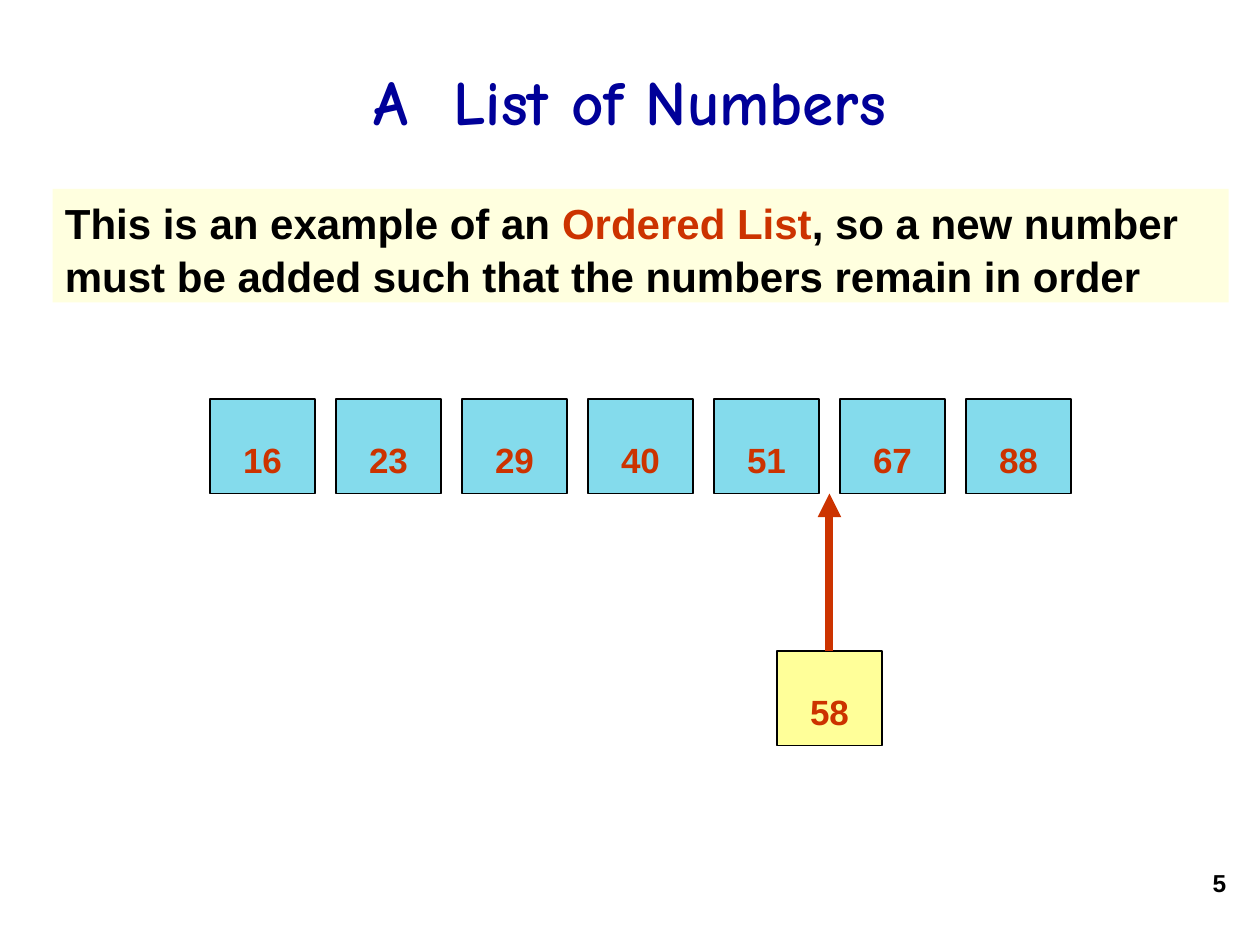
from lxml.etree import SubElement
from pptx import Presentation
from pptx.dml.color import RGBColor
from pptx.enum.shapes import MSO_CONNECTOR, MSO_SHAPE
from pptx.enum.text import MSO_ANCHOR, PP_ALIGN
from pptx.oxml.ns import qn
from pptx.util import Cm, Pt

COLOURS = {
    "title": "000099",
    "text": "000000",
    "accent": "CC3300",
    "list": "84DBEC",
    "new": "FFFF99",
    "banner": "FFFFDF",
}
BOX_WIDTH, BOX_HEIGHT, PITCH = 2.12, 1.9, 2.54
LIST_LEFT, LIST_TOP, NEW_TOP = 4.23, 8.05, 13.13
NUMBERS = [16, 23, 29, 40, 51, 67, 88]
NEW_NUMBER, NEW_POSITION = 58, 4.5


class SlideStyle:
    def __init__(self, slide):
        self.slide = slide

    def colour(self, name):
        return RGBColor.from_string(COLOURS[name])

    def fill_text(self, shape, runs, size, font="Arial", align=PP_ALIGN.LEFT,
                  anchor=MSO_ANCHOR.TOP, spacing=1.05):
        """Fill a shape with one paragraph of (text, colour name) runs."""
        frame = shape.text_frame
        paragraph = frame.paragraphs[0]
        for target, values in (
            (frame, {"word_wrap": True, "vertical_anchor": anchor}),
            (paragraph, {"alignment": align, "line_spacing": spacing}),
        ):
            for attribute, value in values.items():
                setattr(target, attribute, value)
        for text, colour in runs:
            run = paragraph.add_run()
            run.text = text
            run.font.color.rgb = self.colour(colour)
            for attribute, value in {"name": font, "size": Pt(size), "bold": True}.items():
                setattr(run.font, attribute, value)

    def text(self, left, top, width, height, runs, size, **layout):
        area = self.slide.shapes.add_textbox(Cm(left), Cm(top), Cm(width), Cm(height))
        self.fill_text(area, runs, size, **layout)

    def rectangle(self, left, top, width, height, fill, outlined=True):
        box = self.slide.shapes.add_shape(
            MSO_SHAPE.RECTANGLE, Cm(left), Cm(top), Cm(width), Cm(height))
        box.shadow.inherit = False
        box.fill.solid()
        box.fill.fore_color.rgb = self.colour(fill)
        if outlined:
            box.line.color.rgb = self.colour("text")
            box.line.width = Pt(1)
        else:
            box.line.fill.background()
        return box

    def number_box(self, position, top, number, fill):
        """Draw a number at a position counted in list places."""
        left = LIST_LEFT + position * PITCH
        box = self.rectangle(left, top, BOX_WIDTH, BOX_HEIGHT, fill)
        self.text(left + 0.42, top + 0.63, 1.7, 1.12, [(str(number), "accent")], 20)
        return box

    def arrow_up(self, box, tip_top):
        """Draw an arrow from the top of a box straight up to tip_top."""
        centre = box.left + box.width // 2
        arrow = self.slide.shapes.add_connector(
            MSO_CONNECTOR.STRAIGHT, centre, box.top, centre, Cm(tip_top))
        arrow.begin_connect(box, 0)
        arrow.line.color.rgb = self.colour("accent")
        arrow.line.width = Pt(4.5)
        properties = arrow._element.spPr
        SubElement(properties.find(qn("a:ln")), qn("a:tailEnd"), type="triangle")
        SubElement(properties, qn("a:effectLst"))


def main():
    presentation = Presentation()
    presentation.slide_width, presentation.slide_height = Cm(25.4), Cm(19.05)
    style = SlideStyle(presentation.slides.add_slide(presentation.slide_layouts[6]))

    style.text(19.69, 17.35, 5.28, 1.27, [("5", "text")], 14, align=PP_ALIGN.RIGHT)
    style.text(1.9, 0.43, 21.6, 3.18, [("A  List of Numbers", "title")], 36,
               font="Comic Neue", align=PP_ALIGN.CENTER,
               anchor=MSO_ANCHOR.MIDDLE, spacing=1.0)

    for position, number in enumerate(NUMBERS):
        style.number_box(position, LIST_TOP, number, "list")
    new_box = style.number_box(NEW_POSITION, NEW_TOP, NEW_NUMBER, "new")
    style.arrow_up(new_box, LIST_TOP + BOX_HEIGHT)

    banner = style.rectangle(1.06, 3.81, 23.71, 2.29, "banner", outlined=False)
    style.fill_text(banner, [
        ("This is an example of an ", "text"),
        ("Ordered List", "accent"),
        (", so a new number must be added such that the numbers remain in order", "text"),
    ], 24)

    presentation.save("out.pptx")


if __name__ == "__main__":
    main()
